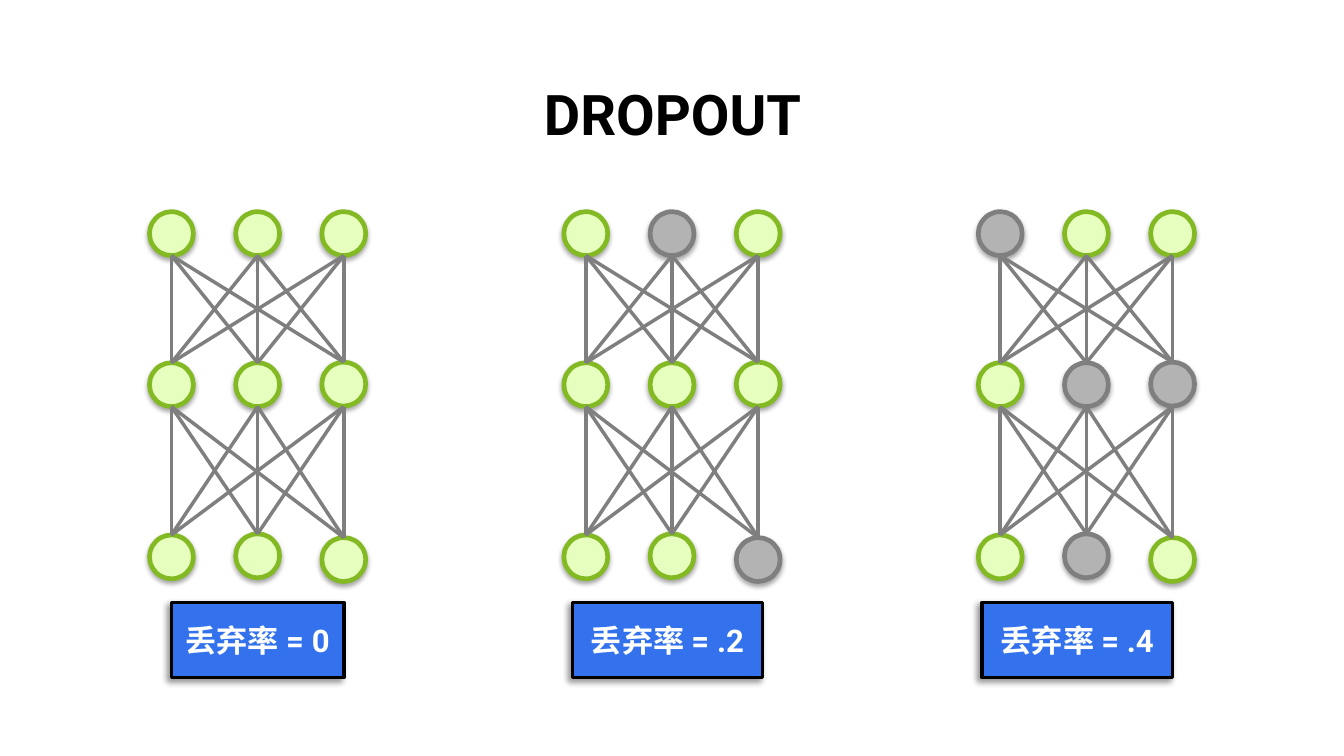
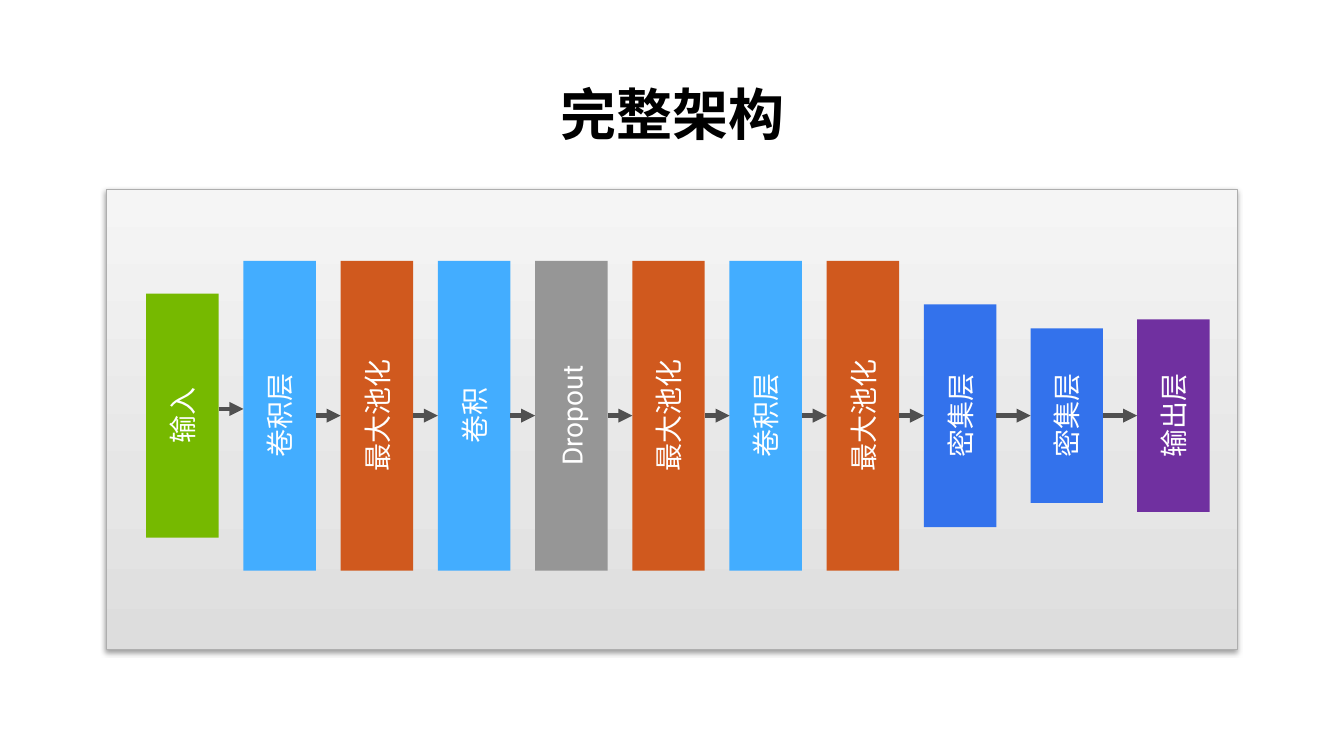
from itertools import pairwise, product

from lxml.etree import SubElement
from pptx import Presentation
from pptx.dml.color import RGBColor
from pptx.enum.shapes import MSO_CONNECTOR, MSO_SHAPE
from pptx.enum.text import MSO_ANCHOR, PP_ALIGN
from pptx.oxml.ns import qn
from pptx.util import Pt

COLORS = {
    "black": "000000", "white": "FFFFFF",
    "active": "E6FFBE", "active_line": "83BA24",
    "dropped": "B3B3B3", "gray_line": "7F7F7F",
    "blue": "3372EC", "sky": "43ADFF", "green": "76B900",
    "orange": "D0591E", "gray": "969696", "purple": "7030A0",
    "arrow": "505050", "panel_line": "AEAEAE",
    "panel_low": "DDDDDD", "panel_mid": "E6E6E6", "panel_high": "F5F5F5",
}
FORMATS = {
    "title": {"name": "Roboto", "size": Pt(36), "bold": True},
    "rate": {"name": "Roboto", "size": Pt(20), "bold": True},
    "layer": {"name": "Roboto", "size": Pt(18), "bold": False},
}
# Shadow: opacity in %, blur and distance in points, direction in degrees
SHADOWS = {
    "node": (34, 3.1, 1.8, 90),
    "rate": (40, 4, 3, 135),
    "panel": (38, 3.1, 1.6, 90),
}


class Deck:
    def __init__(self, prs):
        self.prs = prs
        self.slide = self.shapes = None

    def color(self, name):
        return RGBColor.from_string(COLORS[name])

    def new_slide(self, title):
        self.slide = self.prs.slides.add_slide(self.prs.slide_layouts[6])
        self.shapes = self.slide.shapes
        sp = self.shapes.add_textbox(Pt(39.6), Pt(51.5), Pt(785.5), Pt(46.8))
        self.text(sp, title, "title", "black", MSO_ANCHOR.BOTTOM)
        sp.text_frame.paragraphs[0].line_spacing = 0.9

    def group(self):
        self.shapes = self.slide.shapes.add_group_shape().shapes

    def ungroup(self):
        self.shapes = self.slide.shapes

    def text(self, sp, text, style, color, anchor=MSO_ANCHOR.MIDDLE):
        tf = sp.text_frame
        tf.word_wrap = True
        tf.vertical_anchor = anchor
        p = tf.paragraphs[0]
        p.alignment = PP_ALIGN.CENTER
        r = p.add_run()
        r.text = text
        for key, value in FORMATS[style].items():
            setattr(r.font, key, value)
        r.font.color.rgb = self.color(color)

    def shape(self, kind, x, y, w, h, fill, line=None, width=0, shadow=None):
        sp = self.shapes.add_shape(kind, Pt(x), Pt(y), Pt(w), Pt(h))
        if isinstance(fill, str):
            sp.fill.solid()
            sp.fill.fore_color.rgb = self.color(fill)
        else:
            self.gradient(sp, fill)
        if line:
            sp.line.color.rgb = self.color(line)
            sp.line.width = Pt(width)
        else:
            sp.line.fill.background()
        sp.shadow.inherit = False
        if shadow:
            self.shadow(sp, *SHADOWS[shadow])
        return sp

    def gradient(self, sp, stops):
        sp.fill.gradient()
        sp.fill.gradient_angle = 90
        gs_list = next(sp.element.iter(qn("a:gsLst")))
        gs_list.clear()
        for pos, name in stops:
            gs = SubElement(gs_list, qn("a:gs"), pos=str(pos * 1000))
            SubElement(gs, qn("a:srgbClr"), val=COLORS[name])

    def shadow(self, sp, opacity, blur, dist, angle):
        effects = sp.element.spPr.find(qn("a:effectLst"))
        shadow = SubElement(effects, qn("a:outerShdw"), blurRad=str(Pt(blur)),
                            dist=str(Pt(dist)), dir=str(angle * 60000),
                            algn="ctr", rotWithShape="0")
        clr = SubElement(shadow, qn("a:srgbClr"), val=COLORS["black"])
        SubElement(clr, qn("a:alpha"), val=str(opacity * 1000))

    def line(self, start, end, color, width, arrow=False):
        sp = self.shapes.add_connector(
            MSO_CONNECTOR.STRAIGHT, *(Pt(v) for v in (*start, *end)))
        sp.line.color.rgb = self.color(color)
        sp.line.width = Pt(width)
        spPr = sp.element.spPr
        if arrow:
            SubElement(spPr.find(qn("a:ln")), qn("a:tailEnd"), type="triangle")
        SubElement(spPr, qn("a:effectLst"))

    def network(self, left, dropped):
        """Three layers of three nodes; dropped holds (row, column) pairs."""
        self.group()
        size, step = 28.2, 55.4
        tops = [(136.1,) * 3, (233.2, 233.2, 232.8), (343.9, 343.2, 345.6)]
        centers = [left + step * col for col in range(3)]
        for row, col in product(range(3), repeat=2):
            off = (row, col) in dropped
            self.shape(MSO_SHAPE.OVAL, centers[col] - size / 2, tops[row][col],
                       size, size, "dropped" if off else "active",
                       "gray_line" if off else "active_line", 3, "node")
        for upper, lower in pairwise(tops):
            for a, b in product(range(3), repeat=2):
                self.line((centers[a], upper[0] + size),
                          (centers[b], lower[b]), "gray_line", 2.25)
        self.ungroup()

    def rate(self, x, w, text):
        sp = self.shape(MSO_SHAPE.RECTANGLE, x, 387.4, w, 48.2,
                        "blue", "black", 2.25, "rate")
        self.text(sp, text, "rate", "white")

    def layer(self, center, middle, length, thick, fill, text):
        sp = self.shape(MSO_SHAPE.RECTANGLE, center - length / 2,
                        middle - thick / 2, length, thick, fill)
        sp.rotation = 270
        self.text(sp, text, "layer", "white")


def dropout_slide(d):
    d.new_slide("DROPOUT")
    # Networks, with the dropped nodes of each
    for i, dropped in enumerate([set(), {(0, 1), (2, 2)},
                                 {(0, 0), (1, 1), (1, 2), (2, 1)}]):
        d.network(110.2 + 266.4 * i, dropped)
    # Dropout rates
    for x, w, value in [(110.2, 110.9, "0"), (367.9, 122.4, ".2"),
                        (631.4, 122.4, ".4")]:
        d.rate(x, w, f"丢弃率 = {value}")


def architecture_slide(d):
    d.new_slide("完整架构")
    d.group()
    # Panel
    d.shape(MSO_SHAPE.RECTANGLE, 68.4, 121.7, 727.2, 295.9,
            [(0, "panel_low"), (35, "panel_mid"), (100, "panel_high")],
            "panel_line", 0.75, "panel")
    # Layers
    thick, middle, full = 46.6, 267.2, 199.2
    layers = [
        ("输入", "green", 156.8), ("卷积层", "sky", full),
        ("最大池化", "orange", full), ("卷积", "sky", full),
        ("Dropout", "gray", full), ("最大池化", "orange", full),
        ("卷积层", "sky", full), ("最大池化", "orange", full),
        ("密集层", "blue", 143.2), ("密集层", "blue", 112.3),
        ("输出层", "purple", 123.8),
    ]
    # The last two layers stand a little further apart
    centers = [117.3 + 62.5 * i + 6 * max(0, i - 8) for i in range(len(layers))]
    for center, (text, fill, length) in zip(centers, layers):
        d.layer(center, middle, length, thick, fill, text)
    # Arrows between neighbours
    for i, (a, b) in enumerate(pairwise(centers)):
        y = middle if i else 262.9
        d.line((a + thick / 2, y), (b - thick / 2, y), "arrow", 3, True)
    d.ungroup()


def main():
    prs = Presentation()
    prs.slide_width, prs.slide_height = Pt(864), Pt(486)
    d = Deck(prs)
    dropout_slide(d)
    architecture_slide(d)
    prs.save("out.pptx")


if __name__ == "__main__":
    main()
